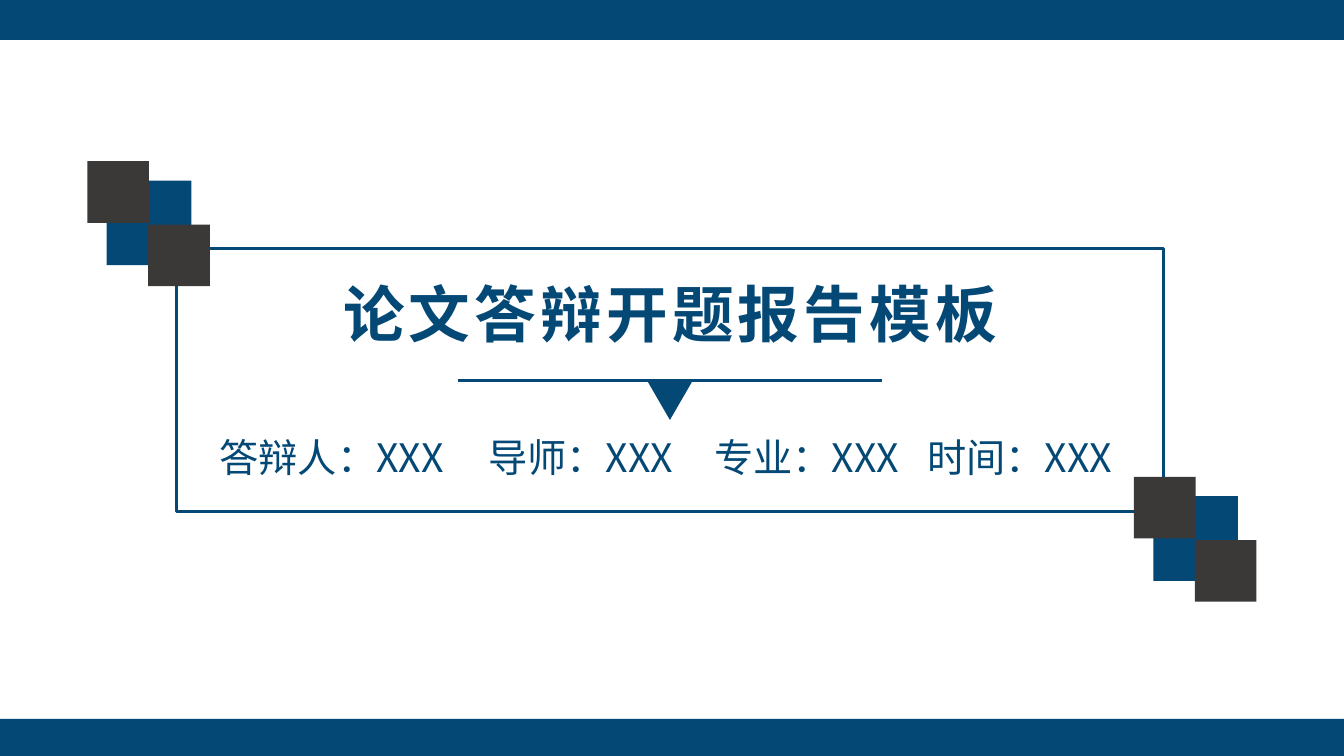
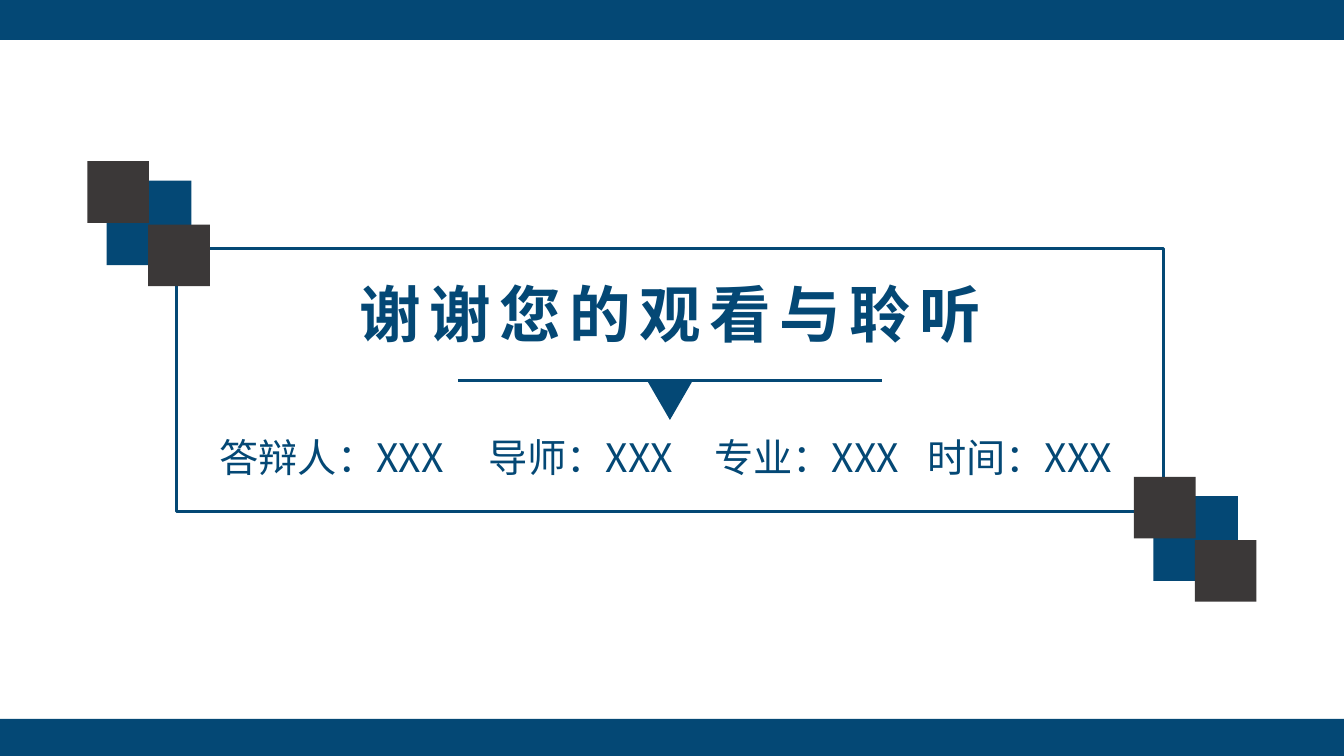
from dataclasses import dataclass

from lxml.etree import SubElement
from pptx import Presentation
from pptx.dml.color import RGBColor
from pptx.enum.shapes import MSO_CONNECTOR as Connector, MSO_SHAPE as Shape
from pptx.enum.text import MSO_ANCHOR as Anchor, PP_ALIGN as Align
from pptx.oxml.ns import qn
from pptx.util import Pt


@dataclass(frozen=True)
class Theme:
    blue: RGBColor = RGBColor(0x04, 0x48, 0x75)
    dark: RGBColor = RGBColor(0x3B, 0x38, 0x38)
    white: RGBColor = RGBColor(0xFF, 0xFF, 0xFF)
    font: str = "Noto Sans CJK SC"
    title_size: int = 44
    detail_size: int = 28
    line_width: int = 2


theme = Theme()
WIDTH, HEIGHT = 960, 540


def add_text(slide, text, left, top, width, height, *, size, bold=False, spacing=0):
    """Add centred blue text; spacing is the letter spacing in points."""
    box = slide.shapes.add_textbox(Pt(left), Pt(top), Pt(width), Pt(height))
    frame = box.text_frame
    frame.word_wrap = True
    frame.vertical_anchor = Anchor.TOP
    paragraph = frame.paragraphs[0]
    paragraph.alignment = Align.CENTER
    paragraph.line_spacing = 0.9
    run = paragraph.add_run()
    run.text = text
    font = run.font
    font.name, font.size, font.bold = theme.font, Pt(size), bold
    font.color.rgb = theme.blue
    properties = run._r.get_or_add_rPr()
    SubElement(properties, qn("a:ea")).set("typeface", theme.font)
    if spacing:
        properties.set("spc", str(spacing * 100))


def add_block(shapes, left, top, width, height, *, fill=None, line=None, kind=Shape.RECTANGLE):
    shape = shapes.add_shape(kind, Pt(left), Pt(top), Pt(width), Pt(height))
    shape.shadow.inherit = False
    if fill is None:
        shape.fill.background()
    else:
        shape.fill.solid()
        shape.fill.fore_color.rgb = fill
    if line is None:
        shape.line.fill.background()
    else:
        shape.line.color.rgb = line
        shape.line.width = Pt(theme.line_width)
    return shape


titles = [("论文答辩开题报告模板", 3), ("谢谢您的观看与聆听", 6)]
details = [  # text, left, width
    ("答辩人：XXX", 120.2, 233.3),
    ("导师：XXX", 313.9, 201.6),
    ("专业：XXX", 475.2, 202.3),
    ("时间：XXX", 637.2, 182.2),
]
corner_origins = [(810, 340.6), (62.4, 115.2)]
corner_squares = [  # offset right, offset down, side, colour
    (13.8, 13.8, 60.5, theme.blue),
    (0, 0, 44, theme.dark),
    (43.5, 45.2, 44, theme.dark),
]
bands = [(0, 28.5), (513.5, HEIGHT - 513.5)]  # top, height

presentation = Presentation()
presentation.slide_width, presentation.slide_height = Pt(WIDTH), Pt(HEIGHT)
blank_layout = presentation.slide_layouts[6]

for title, letter_spacing in titles:
    slide = presentation.slides.add_slide(blank_layout)
    slide.background.fill.solid()
    slide.background.fill.fore_color.rgb = theme.white

    add_text(slide, title, 157, 199.4, 643.6, 60.5,
             size=theme.title_size, bold=True, spacing=letter_spacing)

    divider = slide.shapes.add_group_shape().shapes
    rule = divider.add_connector(Connector.STRAIGHT, Pt(327), Pt(272), Pt(630), Pt(272))
    rule.line.color.rgb = theme.blue
    rule.line.width = Pt(theme.line_width)
    SubElement(rule._element.spPr, qn("a:effectLst"))
    pointer = add_block(divider, 462.3, 272, 32.4, 28, fill=theme.blue,
                        kind=Shape.ISOSCELES_TRIANGLE)
    pointer.rotation = 180

    for text, left, width in details:
        add_text(slide, text, left, 309.6, width, 41, size=theme.detail_size)

    add_block(slide.shapes, 126, 177.5, 705.3, 188, line=theme.blue)

    for left, top in corner_origins:
        corner = slide.shapes.add_group_shape().shapes
        for right, down, side, colour in corner_squares:
            add_block(corner, left + right, top + down, side, side, fill=colour)

    for top, height in bands:
        add_block(slide.shapes, 0, top, WIDTH, height, fill=theme.blue)

presentation.save("out.pptx")
